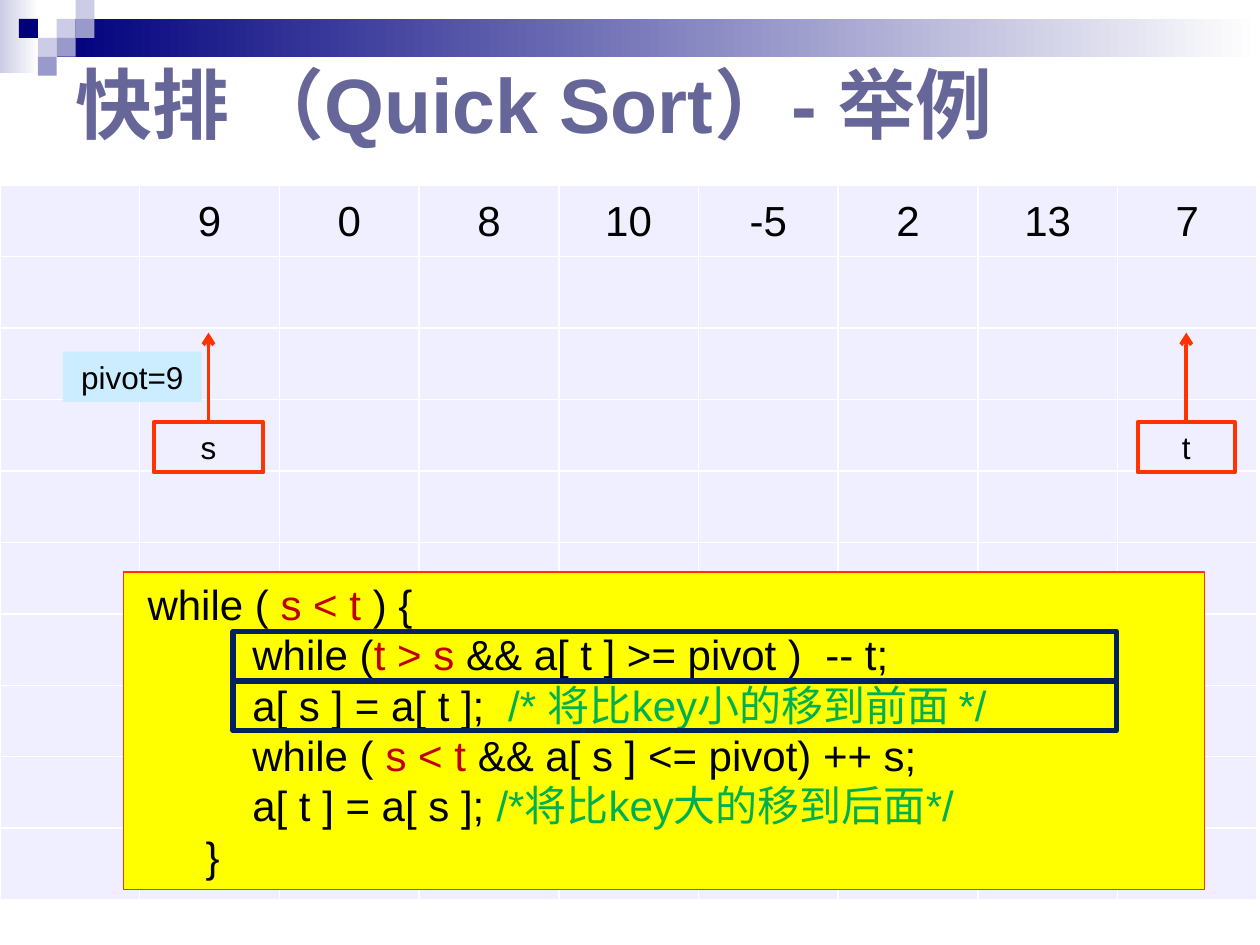
"""Build the quick sort example slide."""
import pptx
import pptx.dml.color
import pptx.enum.shapes
import pptx.enum.text
import pptx.oxml
import pptx.oxml.ns
import pptx.util

Inches = pptx.util.Inches
Pt = pptx.util.Pt
RGBColor = pptx.dml.color.RGBColor
ALIGN = pptx.enum.text.PP_ALIGN
ANCHOR = pptx.enum.text.MSO_ANCHOR

WHITE = RGBColor(0xFF, 0xFF, 0xFF)
BLACK = RGBColor(0x00, 0x00, 0x00)
NAVY = RGBColor(0x00, 0x00, 0x7D)
LILAC = RGBColor(0xCC, 0xCC, 0xE6)
VIOLET = RGBColor(0x99, 0x99, 0xCC)
TITLE = RGBColor(0x66, 0x66, 0x99)
CELL = RGBColor(0xEF, 0xEF, 0xFF)
ORANGE = RGBColor(0xFF, 0x33, 0x00)
SKY = RGBColor(0xCC, 0xEC, 0xFF)
YELLOW = RGBColor(0xFF, 0xFF, 0x00)
RED = RGBColor(0xC0, 0x00, 0x00)
GREEN = RGBColor(0x00, 0xB0, 0x50)
FRAME = RGBColor(0x00, 0x20, 0x60)

STEP = 0.15
SQUARES = [(3, 1, LILAC), (4, 0, LILAC), (4, 1, VIOLET), (2, 2, LILAC),
           (1, 1, NAVY), (3, 2, VIOLET), (2, 3, VIOLET)]
NUMBERS = ["9", "0", "8", "10", "-5", "2", "13", "7"]
ROWS = 10
POINTERS = [("s", 1.22, 0.87), ("t", 9.03, 0.77)]
CODE = [
    [(" while (", BLACK), (" s < t ", RED), (") {", BLACK)],
    [("          while (", BLACK), ("t > s ", RED),
     ("&& a[ t ] >= pivot )  -- t;", BLACK)],
    [("          a[ s ] = a[ t ];  ", BLACK), ("/* 将比key小的移到前面 */", GREEN)],
    [("          while (", BLACK), (" s < t ", RED),
     ("&& a[ s ] <= pivot) ++ s;", BLACK)],
    [("          a[ t ] = a[ s ]; ", BLACK), ("/*将比key大的移到后面*/", GREEN)],
    [("      }", BLACK)],
]


def set_format(target, values):
    """Set each named value on the target."""
    for name, value in values.items():
        setattr(target, name, value)


def add_span(para, text, size, color, bold=False):
    """Add a formatted run to a paragraph."""
    span = para.add_run()
    span.text = text
    set_format(span.font, {"name": "Arial", "size": Pt(size), "bold": bold})
    span.font.color.rgb = color


def add_box(page, place, fill=None, line=None, width=0):
    """Add a rectangle with an optional fill and outline."""
    box = page.shapes.add_shape(pptx.enum.shapes.MSO_SHAPE.RECTANGLE,
                                *map(Inches, place))
    box.shadow.inherit = False
    if fill is None:
        box.fill.background()
    else:
        box.fill.solid()
        box.fill.fore_color.rgb = fill
    if line is None:
        box.line.fill.background()
    else:
        box.line.color.rgb = line
        box.line.width = Pt(width)
    return box


def add_fade(page, place, color):
    """Add a rectangle that fades to white on the right."""
    box = add_box(page, place)
    box.fill.gradient()
    box.fill.gradient_angle = 0
    for stop, shade in zip(box.fill.gradient_stops, (color, WHITE)):
        stop.color.rgb = shade


def write_lines(box, lines, size, align):
    """Write lines of coloured spans into a box from its top."""
    frame = box.text_frame
    set_format(frame, {"word_wrap": True, "vertical_anchor": ANCHOR.TOP})
    for index, line in enumerate(lines):
        para = frame.add_paragraph() if index else frame.paragraphs[0]
        para.alignment = align
        for text, color in line:
            add_span(para, text, size, color)


def add_arrow(page, x, start, end):
    """Add a vertical arrow."""
    arrow = page.shapes.add_connector(
        pptx.enum.shapes.MSO_CONNECTOR.STRAIGHT,
        *map(Inches, (x, start, x, end)))
    arrow.line.color.rgb = ORANGE
    arrow.line.width = Pt(2.25)
    head = pptx.oxml.parse_xml(
        f'<a:tailEnd {pptx.oxml.ns.nsdecls("a")} type="arrow"/>')
    arrow.line._get_or_add_ln().append(head)
    arrow._element.spPr.append(pptx.oxml.parse_xml(
        f'<a:effectLst {pptx.oxml.ns.nsdecls("a")}/>'))


def add_decoration(page):
    """Draw the fading bands and the mosaic of squares."""
    add_fade(page, (0, 0, 0.31, 0.58), LILAC)
    add_fade(page, (0.45, 0.15, 9.55, 0.3), NAVY)
    for column, row, color in SQUARES:
        add_box(page, (column * STEP, row * STEP, STEP, STEP), color)


def add_title(page, text):
    """Place and fill the title in front of the decoration."""
    title = page.shapes.title
    title._element.getparent().append(title._element)
    set_format(title, {"left": Inches(0.5), "top": Inches(0.29),
                       "width": Inches(9), "height": Inches(1.05)})
    set_format(title.text_frame, {
        "word_wrap": True, "vertical_anchor": ANCHOR.MIDDLE,
        "auto_size": pptx.enum.text.MSO_AUTO_SIZE.NONE})
    para = title.text_frame.paragraphs[0]
    para.alignment = ALIGN.LEFT
    add_span(para, text, 44, TITLE, True)


def add_number_table(page):
    """Add the grid with the numbers in its first row."""
    table = page.shapes.add_table(
        ROWS, len(NUMBERS) + 1,
        *map(Inches, (0, 1.47, 9.98, 5.67))).table
    set_format(table, {"first_row": False, "horz_banding": False})
    for cell in table.iter_cells():
        cell.fill.solid()
        cell.fill.fore_color.rgb = CELL
    for column, number in enumerate(NUMBERS, 1):
        cell = table.cell(0, column)
        set_format(cell, {
            "vertical_anchor": ANCHOR.MIDDLE, "margin_left": Inches(0.01),
            "margin_right": Inches(0.01), "margin_top": Inches(0.01),
            "margin_bottom": 0})
        para = cell.text_frame.paragraphs[0]
        para.alignment = ALIGN.CENTER
        add_span(para, number, 24, BLACK)


def main():
    """Build and save the slide."""
    deck = pptx.Presentation()
    set_format(deck, {"slide_width": Inches(10), "slide_height": Inches(7.5)})
    page = deck.slides.add_slide(deck.slide_layouts[5])
    add_decoration(page)
    add_title(page, "快排 （Quick Sort）- 举例")
    add_number_table(page)
    for name, left, width in POINTERS:
        box = add_box(page, (left, 3.35, width, 0.4), None, ORANGE, 2.25)
        write_lines(box, [[(name, BLACK)]], 18, ALIGN.CENTER)
        add_arrow(page, left + width / 2, 3.35, 2.64)
    pivot = add_box(page, (0.5, 2.79, 1.1, 0.4), SKY)
    write_lines(pivot, [[("pivot=9", BLACK)]], 18, ALIGN.CENTER)
    code = add_box(page, (0.98, 4.54, 8.58, 2.52), YELLOW, ORANGE, 0.75)
    write_lines(code, CODE, 24, ALIGN.LEFT)
    for top in (5.01, 5.4):
        add_box(page, (1.85, top, 7.01, 0.4), None, FRAME, 3)
    deck.save("out.pptx")


if __name__ == "__main__":
    main()
